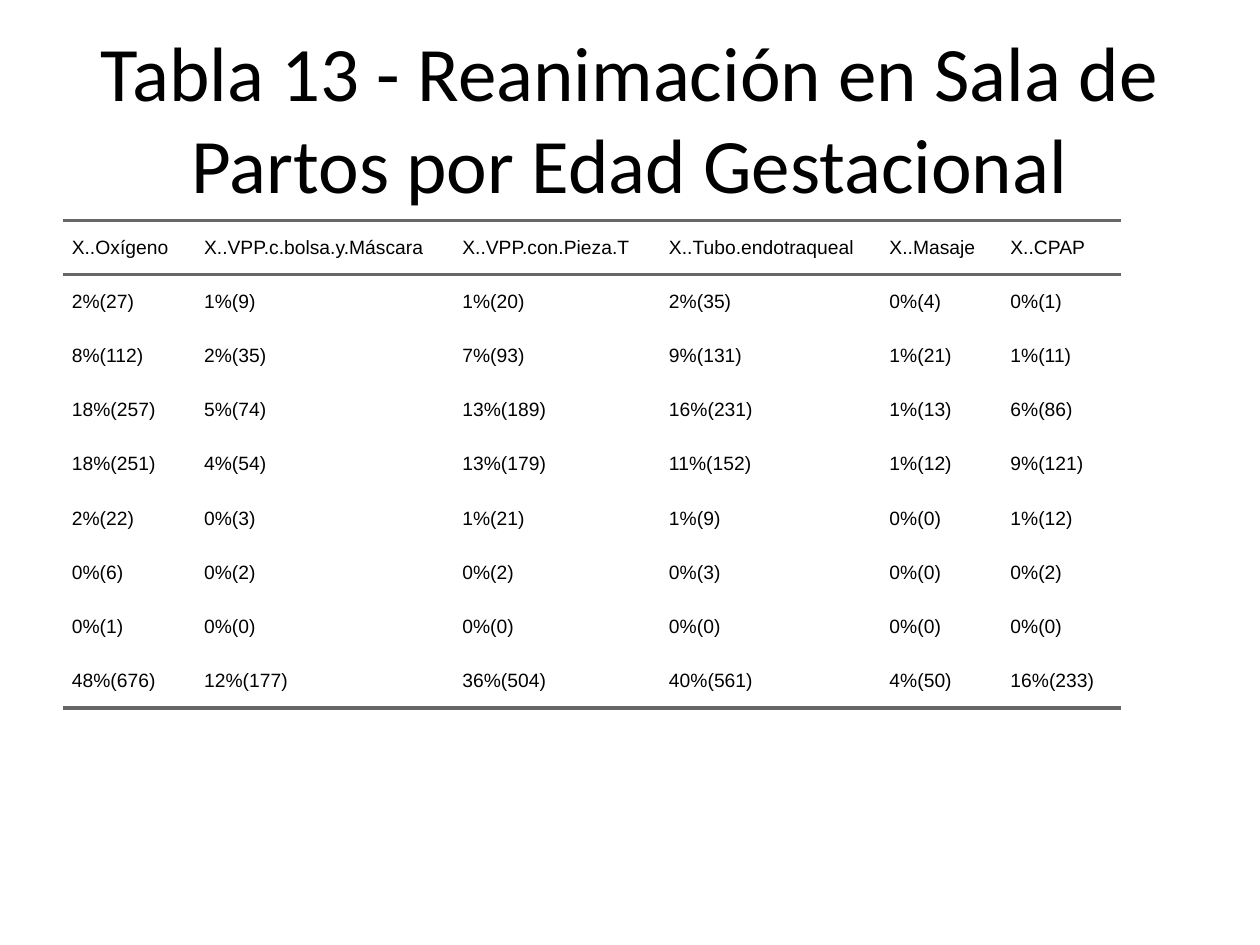
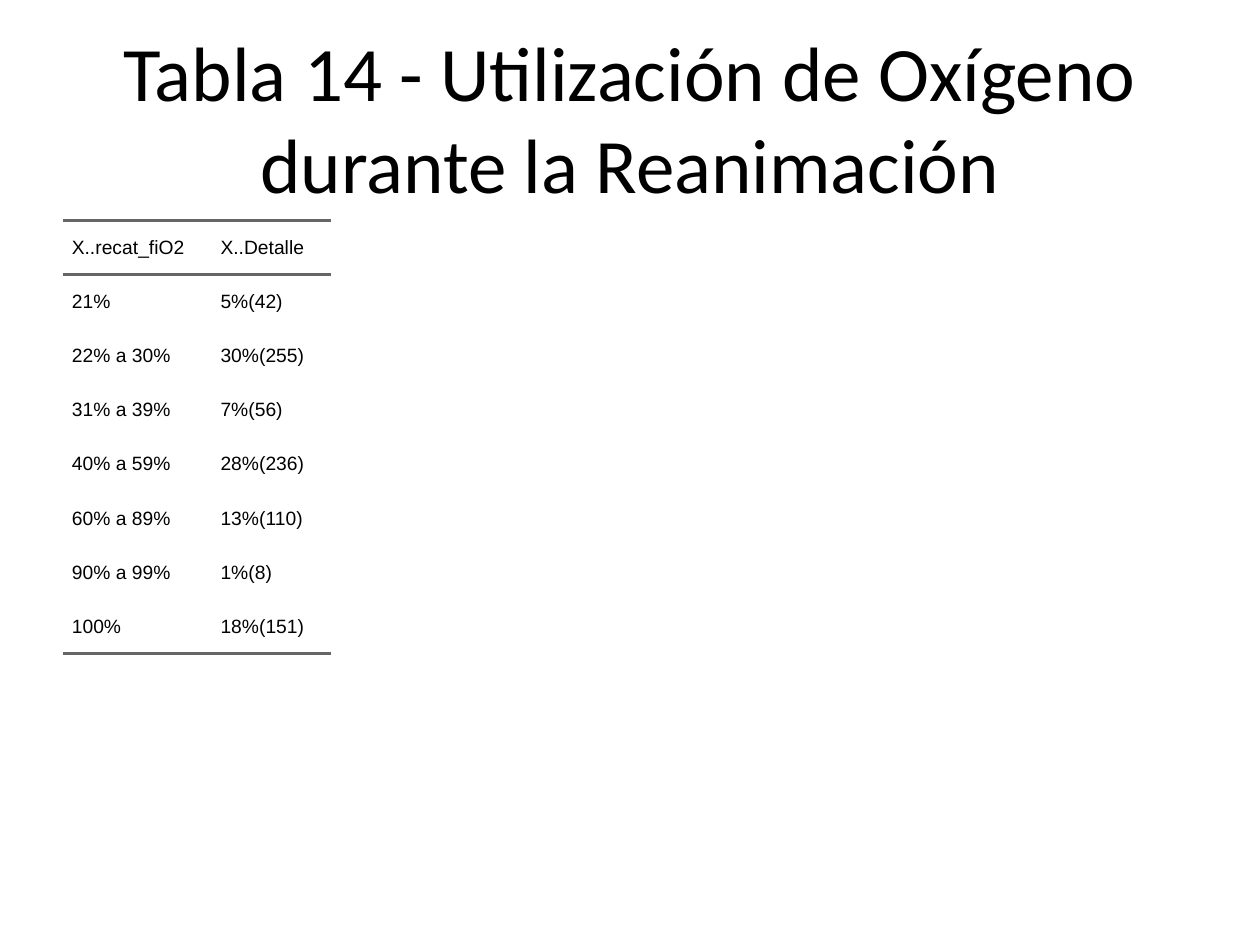
from dataclasses import dataclass

from lxml.etree import SubElement as Sub
from pptx import Presentation
from pptx.dml.color import RGBColor
from pptx.enum.text import MSO_ANCHOR as Anchor, PP_ALIGN as Align
from pptx.oxml.ns import qn
from pptx.util import Inches, Pt

BLACK = "000000"
GRAY = "666666"
WHITE = "FFFFFF"
LEFT = Inches(0.5)
WIDTH = Inches(9)
ROW = Inches(0.43)
PAD = Inches(0.07)
RULE = Pt(2)


@dataclass
class Page:
    title: str
    cols: list[float]
    rows: list[list[str]]


PAGES = [
    Page(
        "Tabla 13 - Reanimación en Sala de Partos por Edad Gestacional",
        [1.05, 2.05, 1.64, 1.75, 0.96, 0.95],
        [
            ["X..Oxígeno", "X..VPP.c.bolsa.y.Máscara", "X..VPP.con.Pieza.T",
             "X..Tubo.endotraqueal", "X..Masaje", "X..CPAP"],
            ["2%(27)", "1%(9)", "1%(20)", "2%(35)", "0%(4)", "0%(1)"],
            ["8%(112)", "2%(35)", "7%(93)", "9%(131)", "1%(21)", "1%(11)"],
            ["18%(257)", "5%(74)", "13%(189)", "16%(231)", "1%(13)", "6%(86)"],
            ["18%(251)", "4%(54)", "13%(179)", "11%(152)", "1%(12)", "9%(121)"],
            ["2%(22)", "0%(3)", "1%(21)", "1%(9)", "0%(0)", "1%(12)"],
            ["0%(6)", "0%(2)", "0%(2)", "0%(3)", "0%(0)", "0%(2)"],
            ["0%(1)", "0%(0)", "0%(0)", "0%(0)", "0%(0)", "0%(0)"],
            ["48%(676)", "12%(177)", "36%(504)", "40%(561)", "4%(50)", "16%(233)"],
        ],
    ),
    Page(
        "Tabla 14 - Utilización de Oxígeno durante la Reanimación",
        [1.18, 0.95],
        [
            ["X..recat_fiO2", "X..Detalle"],
            ["21%", "5%(42)"],
            ["22% a 30%", "30%(255)"],
            ["31% a 39%", "7%(56)"],
            ["40% a 59%", "28%(236)"],
            ["60% a 89%", "13%(110)"],
            ["90% a 99%", "1%(8)"],
            ["100%", "18%(151)"],
        ],
    ),
]


def color(code: str) -> RGBColor:
    return RGBColor.from_string(code)


def style(para, name: str, size: int) -> None:
    para.font.name = name
    para.font.size = Pt(size)
    para.font.color.rgb = color(BLACK)


def add_title(slide, text: str) -> None:
    box = slide.shapes.add_textbox(LEFT, Inches(0.3), WIDTH, Inches(1.25))
    frame = box.text_frame
    frame.word_wrap = True
    frame.vertical_anchor = Anchor.MIDDLE
    para = frame.paragraphs[0]
    para.text = text
    para.alignment = Align.CENTER
    style(para, "Calibri", 44)


def set_edges(cell, ruled: set[str]) -> None:
    props = cell._tc.get_or_add_tcPr()
    for side in "LRTB":
        if side in ruled:
            line = Sub(props, qn(f"a:ln{side}"), w=str(RULE))
            fill = Sub(line, qn("a:solidFill"))
            Sub(fill, qn("a:srgbClr"), val=GRAY)
        else:
            line = Sub(props, qn(f"a:ln{side}"), w="0")
            Sub(line, qn("a:noFill"))


def fill_cell(cell, text: str, ruled: set[str]) -> None:
    cell.margin_left = cell.margin_right = 0
    cell.margin_top = cell.margin_bottom = 0
    cell.vertical_anchor = Anchor.MIDDLE
    set_edges(cell, ruled)
    cell.fill.background()
    para = cell.text_frame.paragraphs[0]
    para.text = text
    para.space_before = para.space_after = Pt(5)
    para._p.get_or_add_pPr().set("marL", str(PAD))
    style(para, "Arial", 11)


def add_grid(slide, page: Page) -> None:
    count = len(page.rows)
    frame = slide.shapes.add_table(
        count, len(page.cols), LEFT, Inches(1.75),
        Inches(sum(page.cols)), ROW * count)
    table = frame.table
    table.first_row = table.horz_banding = False
    for col, width in zip(table.columns, page.cols):
        col.width = Inches(width)
    for i, row in enumerate(page.rows):
        table.rows[i].height = ROW
        ruled = set()
        if i < 2:
            ruled.add("T")
        if i in (0, count - 1):
            ruled.add("B")
        for j, text in enumerate(row):
            fill_cell(table.cell(i, j), text, ruled)


def main() -> None:
    deck = Presentation()
    deck.slide_width = Inches(10)
    deck.slide_height = Inches(7.5)
    for page in PAGES:
        slide = deck.slides.add_slide(deck.slide_layouts[6])
        back = slide.background.fill
        back.solid()
        back.fore_color.rgb = color(WHITE)
        add_title(slide, page.title)
        add_grid(slide, page)
    deck.save("out.pptx")


if __name__ == "__main__":
    main()
